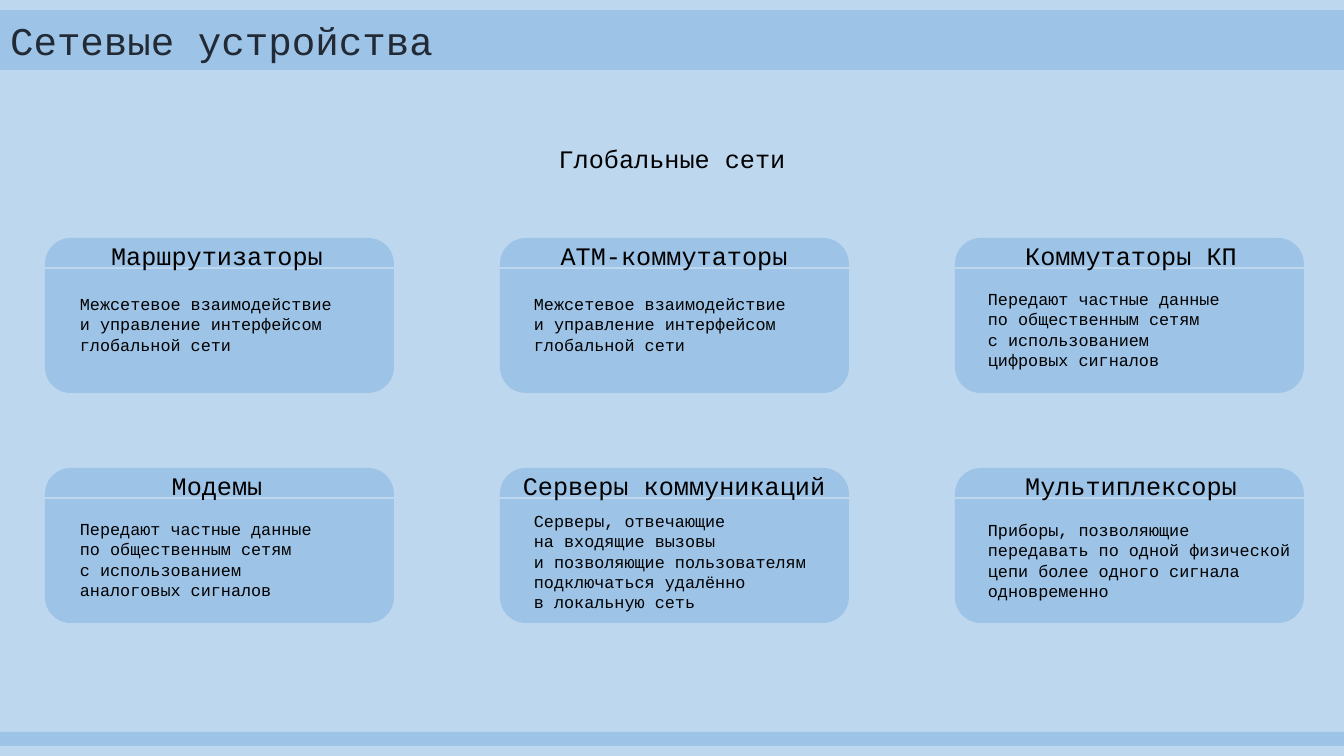
"""Build the slide on network devices of wide area networks."""
from pptx import Presentation
from pptx.dml.color import RGBColor
from pptx.enum.shapes import MSO_CONNECTOR, MSO_SHAPE
from pptx.enum.text import MSO_ANCHOR, MSO_AUTO_SIZE, PP_ALIGN
from pptx.oxml.ns import qn
from pptx.util import Pt
from lxml.etree import SubElement

SCALE = 914400 / 100.8
PALE, BLUE, DARK, BLACK = "BDD7EE", "9DC3E6", "222A35", "000000"
CARDS = [
    ("Маршрутизаторы", 289,
     "Межсетевое взаимодействие\nи управление интерфейсом глобальной сети"),
    ("АТМ-коммутаторы", 289,
     "Межсетевое взаимодействие\nи управление интерфейсом глобальной сети"),
    ("Коммутаторы КП", 284,
     "Передают частные данные\vпо общественным сетям\v"
     "с использованием\vцифровых сигналов"),
    ("Модемы", 514,
     "Передают частные данные\vпо общественным сетям\v"
     "с использованием\vаналоговых сигналов"),
    ("Серверы коммуникаций", 506,
     "Серверы, отвечающие\vна входящие вызовы\v"
     "и позволяющие пользователям подключаться удалённо\vв локальную сеть"),
    ("Мультиплексоры", 515,
     "Приборы, позволяющие передавать по одной физической "
     "цепи более одного сигнала одновременно"),
]


def px(*nums):
    return [round(n * SCALE) for n in nums]


def color(code):
    return RGBColor.from_string(code)


def write(text, box, size=12, ink=BLACK, align=PP_ALIGN.LEFT,
          anchor=MSO_ANCHOR.TOP, shape=None):
    if shape is None:
        shape = slide.shapes.add_textbox(*px(*box))
    else:
        shape.left, shape.top, shape.width, shape.height = px(*box)
    frame = shape.text_frame
    frame.word_wrap = True
    frame.auto_size = MSO_AUTO_SIZE.NONE
    frame.vertical_anchor = anchor
    frame.text = text
    for para in frame.paragraphs:
        para.alignment = align
        for run in para.runs:
            run.font.name = "Courier New"
            run.font.size = Pt(size)
            run.font.color.rgb = color(ink)


deck = Presentation()
deck.slide_width, deck.slide_height = px(1344, 756)
slide = deck.slides.add_slide(deck.slide_layouts[5])
slide.background.fill.solid()
slide.background.fill.fore_color.rgb = color(PALE)

title = slide.shapes.title
title.fill.solid()
title.fill.fore_color.rgb = color(BLUE)
write("Сетевые устройства", (0, 10, 1344, 60), size=28, ink=DARK,
      anchor=MSO_ANCHOR.MIDDLE, shape=title)
write("Глобальные сети", (522, 138, 300, 40), size=18, align=PP_ALIGN.CENTER)

grid = [(45 + 455 * col, 238 + 230 * row) for row in range(2) for col in range(3)]
panels = [(MSO_SHAPE.ROUNDED_RECTANGLE, x, y, 349, 155) for x, y in grid]
for kind, *box in [(MSO_SHAPE.RECTANGLE, 0, 732, 1344, 14)] + panels:
    panel = slide.shapes.add_shape(kind, *px(*box))
    panel.shadow.inherit = False
    panel.fill.solid()
    panel.fill.fore_color.rgb = color(BLUE)
    panel.line.fill.background()

for num, ((x, y), (name, top, text)) in enumerate(zip(grid, CARDS)):
    col = num % 3
    rule = slide.shapes.add_connector(
        MSO_CONNECTOR.STRAIGHT, *px(x - 5, y + 30, x + 349, y + 30))
    rule.line.color.rgb = color(PALE)
    rule.line.width = Pt(2)
    SubElement(rule._element.spPr, qn("a:effectLst"))
    write(name, (42 + 457 * col, y - 3, 350, 40), size=18, align=PP_ALIGN.CENTER)
    write(text, (70 + 454 * col, top, 325, 112))

deck.save("out.pptx")
